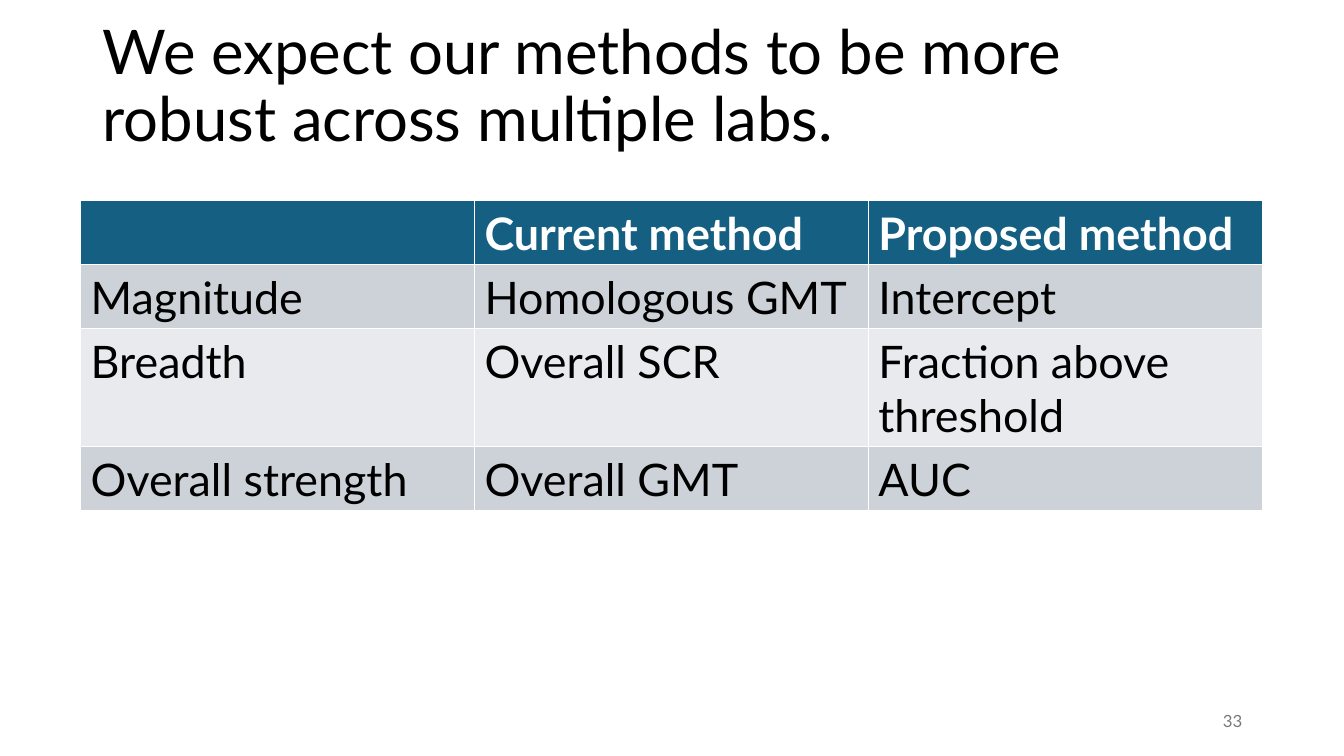
from pptx import Presentation
from pptx.dml.color import RGBColor
from pptx.enum import text
from pptx.util import Inches, Pt

# Content
TITLE = "We expect our methods to be more robust across multiple labs."
NUMBER = "33"
ROWS = [
    ("", "Current method", "Proposed method"),
    ("Magnitude", "Homologous GMT", "Intercept"),
    ("Breadth", "Overall SCR", "Fraction above threshold"),
    ("Overall strength", "Overall GMT", "AUC"),
]

# Format
COLORS = {"head": "156082", "odd": "CCD2D8", "even": "E8EAED",
          "black": "000000", "white": "FFFFFF", "gray": "797979"}
TITLE_BOX = (0.92, 0.15, 11.5, 1.45)
NUMBER_BOX = (9.42, 6.95, 3, 0.4)
LEFT, TOP, WIDTH = 0.8, 1.99, 11.72
HEIGHTS = (0.63, 0.63, 1.17, 0.63)


def color(name):
    return RGBColor.from_string(COLORS[name])


def style(para, size, ink, bold=False):
    font = para.font
    values = {"name": "Lato", "size": Pt(size), "bold": bold}
    for key, value in values.items():
        setattr(font, key, value)
    font.color.rgb = color(ink)


def write(shape, words, size, ink, align):
    frame = shape.text_frame
    frame.text = words
    values = {"word_wrap": True, "auto_size": text.MSO_AUTO_SIZE.NONE,
              "vertical_anchor": text.MSO_ANCHOR.MIDDLE}
    for key, value in values.items():
        setattr(frame, key, value)
    para = frame.paragraphs[0]
    para.alignment = align
    style(para, size, ink)
    return para


deck = Presentation()
deck.slide_width, deck.slide_height = Inches(13.33), Inches(7.5)
slide = deck.slides.add_slide(deck.slide_layouts[5])

# Title
title = slide.shapes.title
for side, value in zip(("left", "top", "width", "height"), TITLE_BOX):
    setattr(title, side, Inches(value))
para = write(title, TITLE, 44, "black", text.PP_ALIGN.LEFT)
para.line_spacing = 0.9

# Slide number
box = slide.shapes.add_textbox(*map(Inches, NUMBER_BOX))
write(box, NUMBER, 12, "gray", text.PP_ALIGN.RIGHT)

# Table: the default table style draws the white rules
count = len(ROWS[0])
table = slide.shapes.add_table(
    len(ROWS), count, Inches(LEFT), Inches(TOP),
    Inches(WIDTH), Inches(sum(HEIGHTS))).table
for col in table.columns:
    col.width = Inches(WIDTH / count)
for r, (row, height) in enumerate(zip(ROWS, HEIGHTS)):
    table.rows[r].height = Inches(height)
    head = r == 0
    fill = "head" if head else "odd" if r % 2 else "even"
    for c, words in enumerate(row):
        cell = table.cell(r, c)
        cell.fill.solid()
        cell.fill.fore_color.rgb = color(fill)
        cell.text = words
        style(cell.text_frame.paragraphs[0], 32,
              "white" if head else "black", head)

deck.save("out.pptx")
